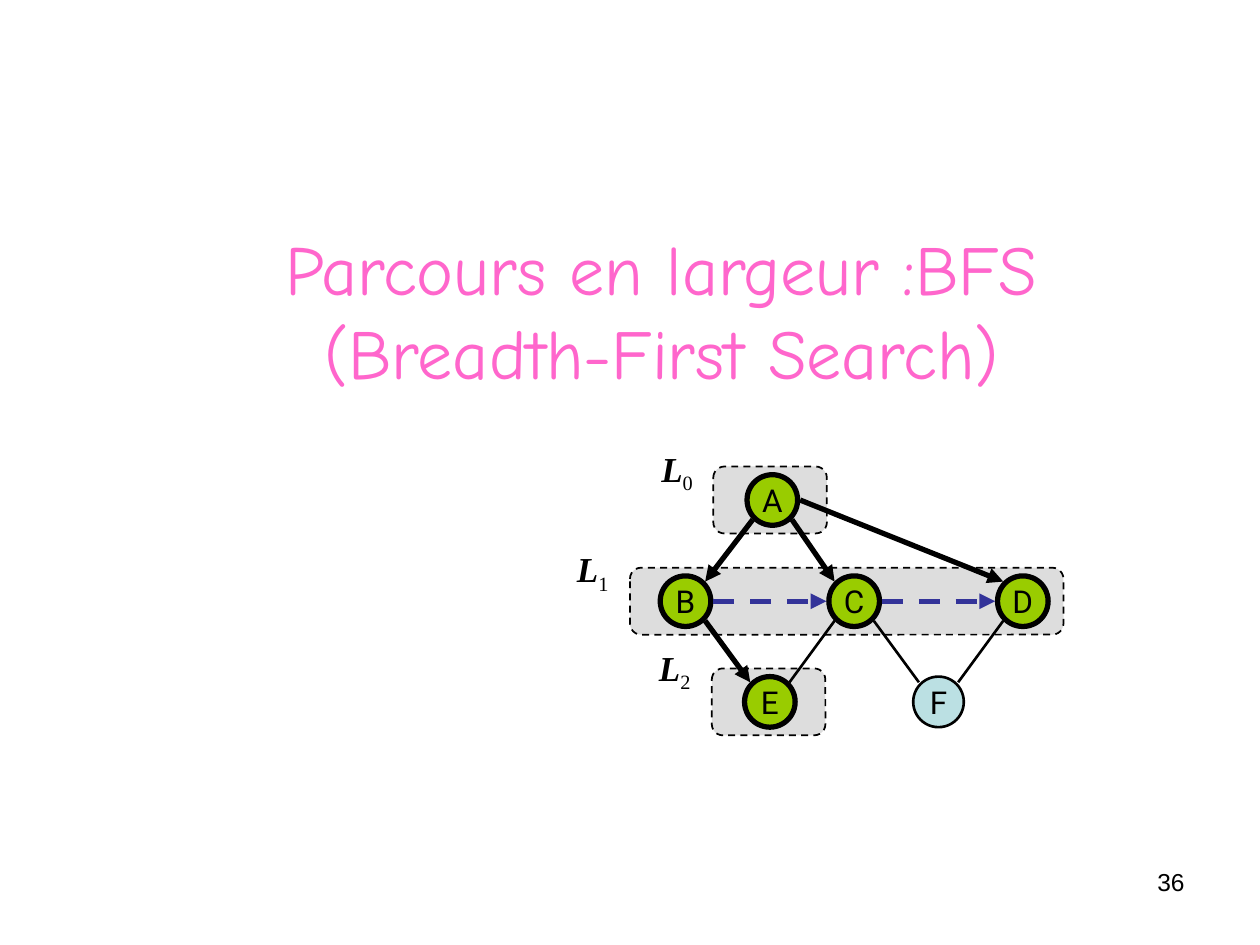
import math

import lxml.etree
import pptx
import pptx.dml.color
import pptx.enum.dml
import pptx.enum.shapes
import pptx.enum.text
import pptx.oxml.ns
import pptx.util

Cm, Pt = pptx.util.Cm, pptx.util.Pt
Align = pptx.enum.text.PP_ALIGN
Anchor = pptx.enum.text.MSO_ANCHOR
Shape = pptx.enum.shapes.MSO_SHAPE
Dash = pptx.enum.dml.MSO_LINE
qn = pptx.oxml.ns.qn


def paint(color, code):
    """Set a fill, or the colour of a font, to a hex string."""
    if hasattr(color, "solid"):
        color.solid()
        color = color.fore_color
    color.rgb = pptx.dml.color.RGBColor.from_string(code)


def style(run, face, size, code="000000"):
    run.font.name = face
    run.font.size = Pt(size)
    paint(run.font.color, code)


prs = pptx.Presentation()
prs.slide_width, prs.slide_height = Cm(25.4), Cm(19.05)
slide = prs.slides.add_slide(prs.slide_layouts[5])
shapes = slide.shapes

title = shapes.title
title.left, title.top = Cm(2.54), Cm(4.65)
title.width, title.height = Cm(21.59), Cm(3.18)
frame = title.text_frame
frame.text = "Parcours en largeur :BFS (Breadth-First Search)"
frame.vertical_anchor = Anchor.MIDDLE
frame.paragraphs[0].alignment = Align.CENTER
style(frame.paragraphs[0].runs[0], "Comic Neue", 40, "FF66CC")

box = shapes.add_textbox(Cm(18.21), Cm(17.35), Cm(5.92), Cm(1.32))
box.text_frame.word_wrap = True
para = box.text_frame.paragraphs[0]
para.text = "36"
para.alignment = Align.RIGHT
style(para.runs[0], "Arial", 14)

# Centre heights of the three levels of the tree
rows = [10.08, 12.12, 14.15]

# Level bands: left and width, then left and top of the label
bands = [(14.38, 2.29, 13, 8.89), (12.7, 8.74, 11.3, 10.92), (14.35, 2.29, 12.95, 12.9)]
tall = 1.35
for level, (left, wide, x, y) in enumerate(bands):
    band = shapes.add_shape(
        Shape.ROUNDED_RECTANGLE, Cm(left), Cm(rows[level] - tall / 2), Cm(wide), Cm(tall))
    band.shadow.inherit = False
    paint(band.fill, "DDDDDD")
    paint(band.line.fill, "000000")
    band.line.width = Pt(1)
    band.line.dash_style = Dash.DASH

    label = shapes.add_textbox(Cm(x), Cm(y), Cm(1.3), Cm(1.22))
    label.text_frame.word_wrap = True
    para = label.text_frame.paragraphs[0]
    para.alignment = Align.CENTER
    for text in ("L", str(level)):
        run = para.add_run()
        run.text = text
        style(run, "Times New Roman", 20)
        run.font.bold = run.font.italic = text == "L"
    run.font._element.set("baseline", "-25000")

# Nodes: centre x and level
nodes = {"A": (15.57, 0), "B": (13.82, 1), "C": (17.22, 1),
         "D": (20.62, 1), "E": (15.52, 2), "F": (18.92, 2)}
size = 1.02
for name, (x, level) in nodes.items():
    node = shapes.add_shape(
        Shape.OVAL, Cm(x - size / 2), Cm(rows[level] - size / 2), Cm(size), Cm(size))
    node.shadow.inherit = False
    seen = name != "F"
    paint(node.fill, "99CC00" if seen else "BBE0E3")
    paint(node.line.fill, "000000")
    node.line.width = Pt(3 if seen else 1.5)
    frame = node.text_frame
    frame.word_wrap = False
    frame.vertical_anchor = Anchor.MIDDLE
    frame.text = name
    frame.paragraphs[0].alignment = Align.CENTER
    style(frame.paragraphs[0].runs[0], "Roboto", 18)

# Edges: two nodes, the angle at which the edge leaves and enters, and its kind
edges = [("A", "B", 135, -45, "tree"), ("A", "C", 45, -135, "tree"),
         ("A", "D", 0, -135, "tree"), ("B", "E", 45, -135, "tree"),
         ("B", "C", 0, 180, "next"), ("C", "D", 0, 180, "next"),
         ("C", "E", 135, -45, "plain"), ("C", "F", 45, -135, "plain"),
         ("D", "F", 135, -45, "plain")]
reach = 0.56
for start, end, out, into, kind in edges:
    ends = []
    for name, angle in ((start, out), (end, into)):
        x, level = nodes[name]
        turn = math.radians(angle)
        ends += [Cm(x + reach * math.cos(turn)), Cm(rows[level] + reach * math.sin(turn))]
    edge = shapes.add_connector(pptx.enum.shapes.MSO_CONNECTOR.STRAIGHT, *ends)
    paint(edge.line.fill, "333399" if kind == "next" else "000000")
    edge.line.width = Pt(1.5 if kind == "plain" else 3)
    if kind == "next":
        edge.line.dash_style = Dash.DASH
    if kind != "plain":
        lxml.etree.SubElement(edge.line._get_or_add_ln(), qn("a:tailEnd"), type="triangle")
    lxml.etree.SubElement(edge._element.spPr, qn("a:effectLst"))

prs.save("out.pptx")
